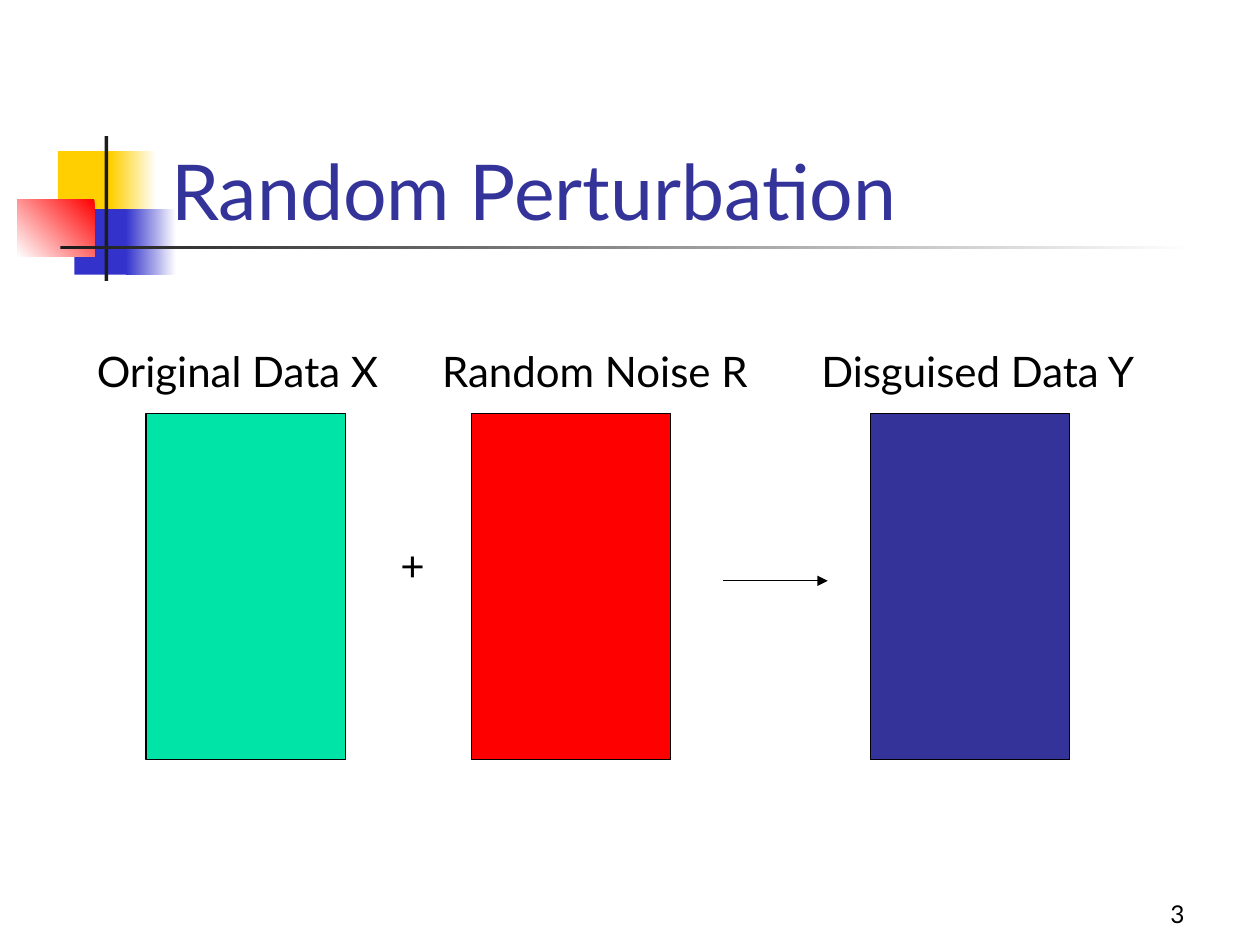
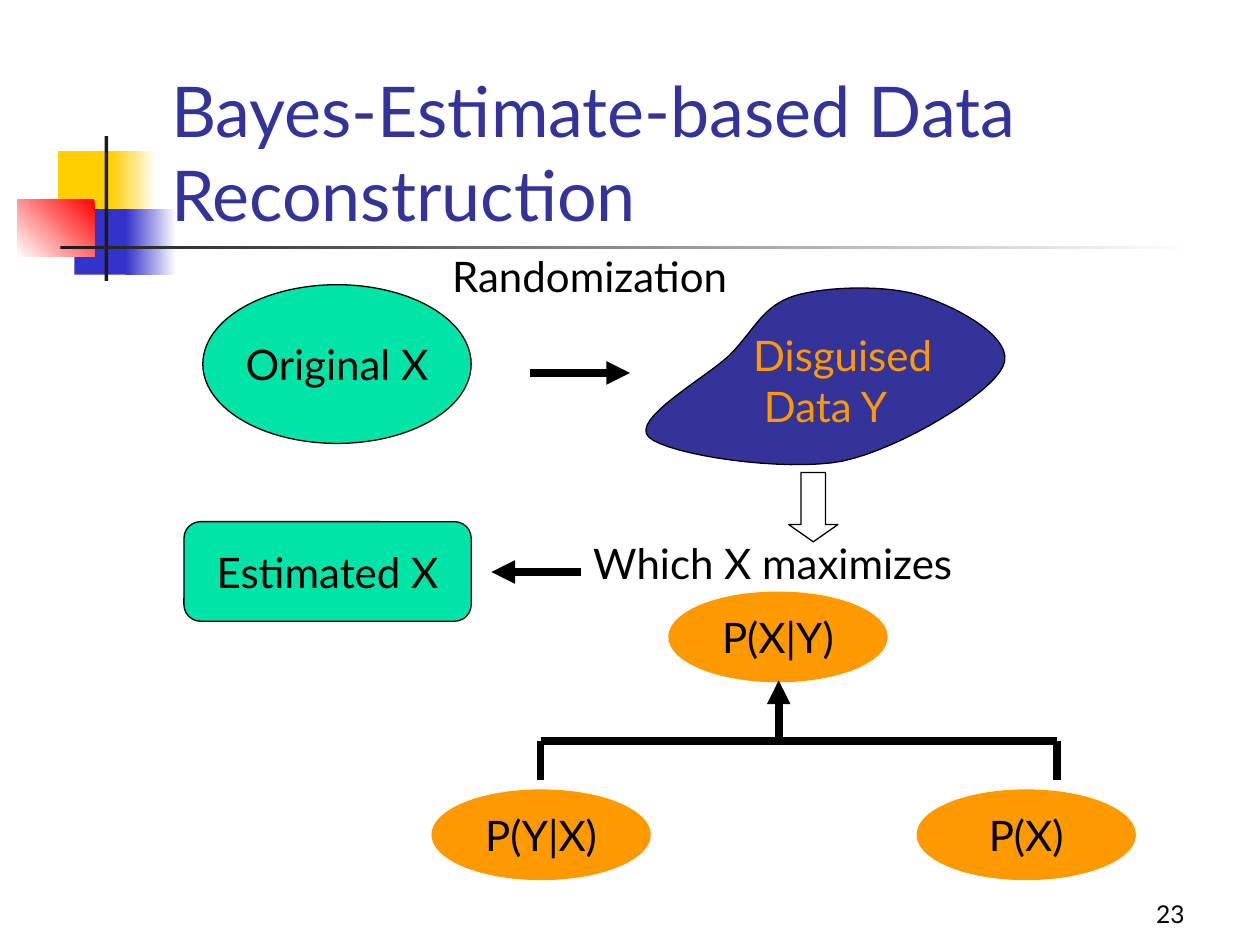
import pptx
import pptx.dml.color
import pptx.enum.shapes
import pptx.enum.text
import pptx.oxml
import pptx.oxml.ns
import pptx.util

Inches = pptx.util.Inches
Pt = pptx.util.Pt
RGBColor = pptx.dml.color.RGBColor
SHAPE = pptx.enum.shapes.MSO_SHAPE
ALIGN = pptx.enum.text.PP_ALIGN
ANCHOR = pptx.enum.text.MSO_ANCHOR

FONT = "Lato"
BLACK = RGBColor(0x00, 0x00, 0x00)
WHITE = RGBColor(0xFF, 0xFF, 0xFF)
CHARCOAL = RGBColor(0x1C, 0x1C, 0x1C)
YELLOW = RGBColor(0xFF, 0xCF, 0x01)
BLUE = RGBColor(0x33, 0x33, 0xCC)
INDIGO = RGBColor(0x33, 0x33, 0x99)
RED = RGBColor(0xFF, 0x00, 0x00)
GREEN = RGBColor(0x00, 0xE4, 0xA8)
ORANGE = RGBColor(0xFF, 0x99, 0x00)

# Title ornament: left, top, width, height, colour, angle of the fade to white
ORNAMENT = [
    (0.46, 1.2, 0.48, 0.52, YELLOW, None),
    (0.88, 1.2, 0.36, 0.52, YELLOW, 0),
    (0.59, 1.66, 0.46, 0.52, BLUE, None),
    (1.0, 1.66, 0.4, 0.52, BLUE, 0),
    (0.14, 1.58, 0.61, 0.46, RED, 225),
    (0.83, 1.08, 0.03, 1.15, CHARCOAL, None),
    (0.48, 1.95, 9, 0.03, CHARCOAL, 0),
]


def add_block(slide, text, left, top, width, height, *, preset=None, fill=None,
              outline=None, size=24, color=BLACK, align=ALIGN.LEFT,
              anchor=ANCHOR.TOP):
    """Add a text box, or a preset shape with middle-centred text."""
    place = [Inches(length) for length in (left, top, width, height)]
    if preset is None:
        block = slide.shapes.add_textbox(*place)
    else:
        block = slide.shapes.add_shape(preset, *place)
        block.shadow.inherit = False
        align, anchor = ALIGN.CENTER, ANCHOR.MIDDLE
        if fill is None:
            block.fill.background()
        else:
            block.fill.solid()
            block.fill.fore_color.rgb = fill
        if outline is None:
            block.line.fill.background()
        else:
            block.line.color.rgb = outline
            block.line.width = Pt(0.75)
    if text:
        frame = block.text_frame
        frame.word_wrap = preset is None
        frame.vertical_anchor = anchor
        frame.text = text
        for paragraph in frame.paragraphs:
            paragraph.alignment = align
            paragraph.font.name = FONT
            paragraph.font.size = Pt(size)
            paragraph.font.color.rgb = color
    return block


def add_line(slide, start, end, *, width=4.5, arrow=False):
    line = slide.shapes.add_connector(
        pptx.enum.shapes.MSO_CONNECTOR.STRAIGHT,
        *[Inches(length) for length in start + end])
    line.line.color.rgb = BLACK
    line.line.width = Pt(width)
    if arrow:
        line.line._get_or_add_ln().append(pptx.oxml.parse_xml(
            f'<a:tailEnd {pptx.oxml.ns.nsdecls("a")} type="triangle"/>'))
    line._element.spPr.append(pptx.oxml.parse_xml(
        f'<a:effectLst {pptx.oxml.ns.nsdecls("a")}/>'))


deck = pptx.Presentation()
deck.slide_width = Inches(10)
deck.slide_height = Inches(7.5)

# Ornament, title and page number of every slide
slides = []
for title, title_size, page in [
    ("Random Perturbation", 44, "3"),
    ("Bayes-Estimate-based Data Reconstruction", 40, "23"),
]:
    slide = deck.slides.add_slide(deck.slide_layouts[6])
    for left, top, width, height, color, fade_angle in ORNAMENT:
        patch = add_block(slide, "", left, top, width, height,
                          preset=SHAPE.RECTANGLE, fill=color)
        if fade_angle is not None:
            patch.fill.gradient()
            patch.fill.gradient_angle = fade_angle
            for stop, stop_color in zip(patch.fill.gradient_stops, (color, WHITE)):
                stop.color.rgb = stop_color
    add_block(slide, title, 1.26, 0.67, 8.52, 1.25, size=title_size,
              color=INDIGO, anchor=ANCHOR.BOTTOM)
    add_block(slide, page, 7.42, 6.92, 2.08, 0.5, size=14,
              align=ALIGN.RIGHT, anchor=ANCHOR.BOTTOM)
    slides.append(slide)
perturbation, reconstruction = slides

# Random perturbation: X + R -> Y
for label, label_left, label_width, data_left, color in [
    ("Original Data X", 0.67, 2.56, 1.16, GREEN),
    ("Random Noise R", 3.41, 2.79, 3.74, RED),
    ("Disguised Data Y", 6.42, 2.84, 6.91, INDIGO),
]:
    add_block(perturbation, "", data_left, 3.28, 1.58, 2.75,
              preset=SHAPE.RECTANGLE, fill=color, outline=BLACK)
    add_block(perturbation, label, label_left, 2.69, label_width, 0.5)
add_block(perturbation, "+", 3.08, 4.23, 0.39, 0.5)
add_line(perturbation, (5.74, 4.61), (6.57, 4.61), width=0.75, arrow=True)

# Bayes estimate: the disguised data is a closed curve of cubic segments
cloud_start = (5.79, 2.82)
cloud_curves = [
    ((5.98, 2.63), (6.05, 2.43), (6.3, 2.35)),
    ((6.56, 2.27), (7.05, 2.26), (7.32, 2.35)),
    ((7.6, 2.44), (8.07, 2.69), (7.96, 2.91)),
    ((7.86, 3.13), (7.15, 3.56), (6.69, 3.66)),
    ((6.22, 3.75), (5.3, 3.61), (5.15, 3.47)),
    ((5, 3.33), (5.6, 3), cloud_start),
]
STEPS = 16
cloud_points = []
curve_start = cloud_start
for control_1, control_2, curve_end in cloud_curves:
    for step in range(1, STEPS + 1):
        t = step / STEPS
        cloud_points.append(tuple(
            Inches((1 - t) ** 3 * a + 3 * (1 - t) ** 2 * t * b
                   + 3 * (1 - t) * t ** 2 * c + t ** 3 * d)
            for a, b, c, d in zip(curve_start, control_1, control_2, curve_end)))
    curve_start = curve_end
outline_builder = reconstruction.shapes.build_freeform(
    *[Inches(length) for length in cloud_start])
outline_builder.add_line_segments(cloud_points, close=True)
disguised_data = outline_builder.convert_to_shape()
disguised_data.shadow.inherit = False
disguised_data.fill.solid()
disguised_data.fill.fore_color.rgb = INDIGO
disguised_data.line.color.rgb = BLACK
disguised_data.line.width = Pt(0.75)

add_block(reconstruction, "Disguised\n Data Y", 5.88, 2.57, 1.74, 0.9, color=ORANGE)
add_block(reconstruction, "Randomization", 3.49, 1.94, 2.56, 0.5)
add_block(reconstruction, "Which X maximizes", 4.61, 4.22, 3.28, 0.5)
add_block(reconstruction, "Original X", 1.61, 2.26, 2.13, 1.26,
          preset=SHAPE.OVAL, fill=GREEN, outline=BLACK)
add_block(reconstruction, "Estimated X", 1.46, 4.14, 2.28, 0.79,
          preset=SHAPE.ROUNDED_RECTANGLE, fill=GREEN, outline=BLACK)
maximize_arrow = add_block(reconstruction, "", 6.26, 3.75, 0.39, 0.55,
                           preset=SHAPE.DOWN_ARROW, outline=BLACK)
maximize_arrow.adjustments[1] = 0.35

for probability, left, top in [
    ("P(X|Y)", 5.31, 4.7),
    ("P(X)", 7.28, 6.27),
    ("P(Y|X)", 3.43, 6.27),
]:
    add_block(reconstruction, probability, left, top, 1.73, 0.71,
              preset=SHAPE.OVAL, fill=ORANGE, outline=ORANGE)

add_line(reconstruction, (4.21, 2.96), (5, 2.96), arrow=True)
add_line(reconstruction, (4.61, 4.54), (3.9, 4.54), arrow=True)
add_line(reconstruction, (6.18, 5.88), (6.18, 5.4), arrow=True)
add_line(reconstruction, (4.29, 5.88), (8.39, 5.88))
for branch_x in (4.29, 8.39):
    add_line(reconstruction, (branch_x, 5.88), (branch_x, 6.19))

deck.save("out.pptx")
